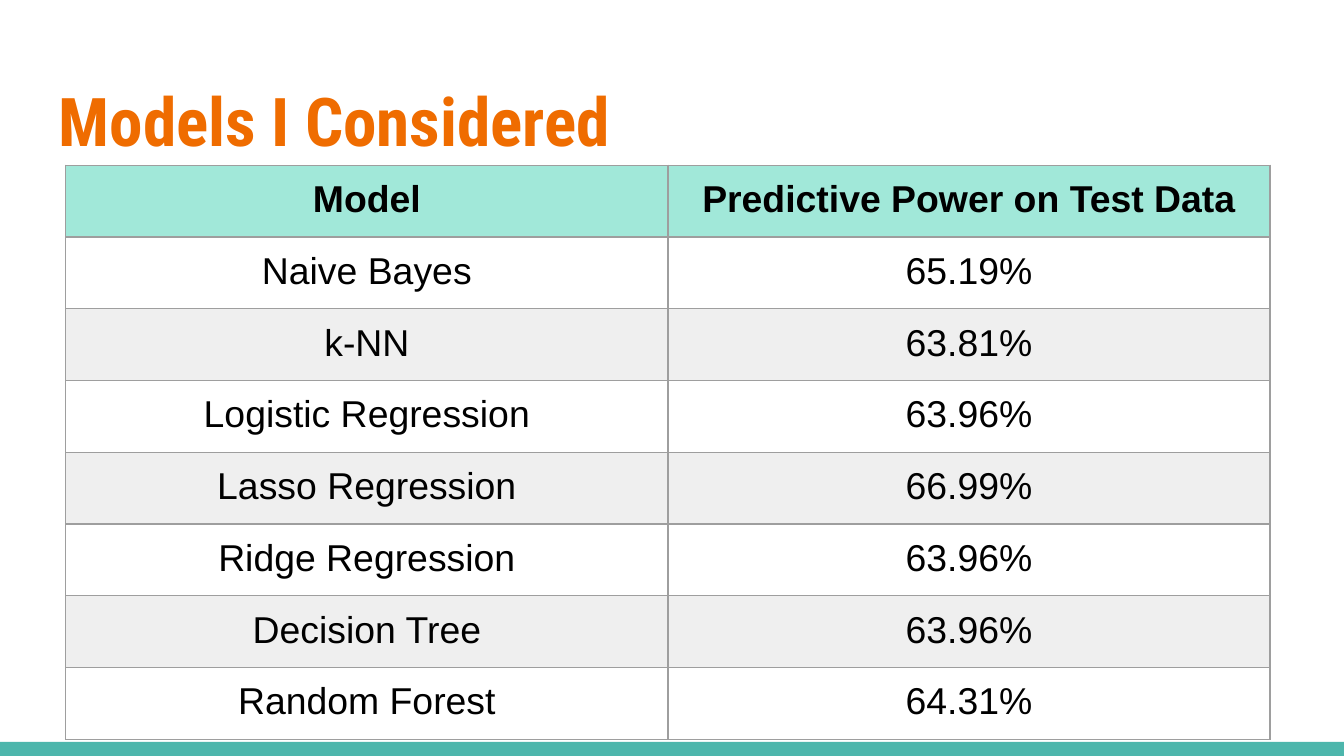
from pptx import Presentation
from pptx.dml.color import RGBColor
from pptx.enum.shapes import MSO_SHAPE
from pptx.enum.text import MSO_ANCHOR, PP_ALIGN
from pptx.oxml import parse_xml
from pptx.oxml.ns import nsdecls
from pptx.util import Inches, Pt

TEAL = RGBColor(0x4D, 0xB6, 0xAC)
ORANGE = RGBColor(0xEF, 0x6C, 0x00)
MINT = RGBColor(0xA1, 0xE8, 0xD9)
PALE_GRAY = RGBColor(0xEF, 0xEF, 0xEF)
BORDER_GRAY = RGBColor(0x9E, 0x9E, 0x9E)
BLACK = RGBColor(0, 0, 0)

MODEL_ROWS = [
    ("Model", "Predictive Power on Test Data"),
    ("Naive Bayes", "65.19%"),
    ("k-NN", "63.81%"),
    ("Logistic Regression", "63.96%"),
    ("Lasso Regression", "66.99%"),
    ("Ridge Regression", "63.96%"),
    ("Decision Tree", "63.96%"),
    ("Random Forest", "64.31%"),
]


def write_text(frame, text, font="Arial", size=20, color=BLACK, bold=False, align=PP_ALIGN.LEFT):
    """Fill a text frame with one formatted paragraph."""
    frame.word_wrap = True
    para = frame.paragraphs[0]
    para.alignment = align
    span = para.add_run()
    span.text = text
    span.font.name = font
    span.font.size = Pt(size)
    span.font.bold = bold
    span.font.color.rgb = color


def set_margins(target, margin):
    """Give a cell or text frame the same margin on every side."""
    target.margin_left = target.margin_right = margin
    target.margin_top = target.margin_bottom = margin


def add_borders(cell, color, width):
    """Draw a solid line on all four sides of a cell."""
    properties = cell._tc.get_or_add_tcPr()
    for index, side in enumerate(("lnL", "lnR", "lnT", "lnB")):
        properties.insert(index, parse_xml(
            f'<a:{side} {nsdecls("a")} w="{Pt(width)}"><a:solidFill>'
            f'<a:srgbClr val="{color}"/></a:solidFill></a:{side}>'))


def add_footer_bar(page, left, top, width, height):
    """Place the plain band along the bottom edge."""
    bar = page.shapes.add_shape(MSO_SHAPE.RECTANGLE, left, top, width, height)
    bar.shadow.inherit = False
    bar.fill.solid()
    bar.fill.fore_color.rgb = TEAL
    bar.line.fill.background()


def add_title(page, left, top, width, height):
    """Place the slide heading."""
    box = page.shapes.add_textbox(left, top, width, height)
    set_margins(box.text_frame, Inches(0.1))
    box.text_frame.vertical_anchor = MSO_ANCHOR.TOP
    write_text(box.text_frame, "Models I Considered", font="Roboto Condensed",
               size=36, color=ORANGE, bold=True)


def add_model_table(page, left, top, side, column_width, row_height):
    """Place the table of models in a square frame that its rows and columns outgrow."""
    box = page.shapes.add_table(len(MODEL_ROWS), 2, left, top, side, side)
    table = box.table
    for column in table.columns:
        column.width = column_width
    for row in table.rows:
        row.height = row_height
    box.width = box.height = side
    for index, values in enumerate(MODEL_ROWS):
        is_header = index == 0
        for cell, value in zip(table.rows[index].cells, values):
            set_margins(cell, Inches(0.1))
            if index % 2 == 0:
                cell.fill.solid()
                cell.fill.fore_color.rgb = MINT if is_header else PALE_GRAY
            else:
                cell.fill.background()
            add_borders(cell, BORDER_GRAY, 0.75)
            write_text(cell.text_frame, value, bold=is_header, align=PP_ALIGN.CENTER)


def main():
    """Build and save the slide."""
    deck = Presentation()
    deck.slide_width = Inches(10)
    deck.slide_height = deck.slide_width * 9 // 16
    page = deck.slides.add_slide(deck.slide_layouts[6])
    bar_top = Inches(5.52)
    add_footer_bar(page, 0, bar_top, deck.slide_width, deck.slide_height - bar_top)
    add_title(page, Inches(0.34), Inches(0.49), Inches(9.32), Inches(0.77))
    add_model_table(page, Inches(0.49), Inches(1.23), Inches(3.28), Inches(4.48), Inches(0.51))
    deck.save("out.pptx")


if __name__ == "__main__":
    main()
